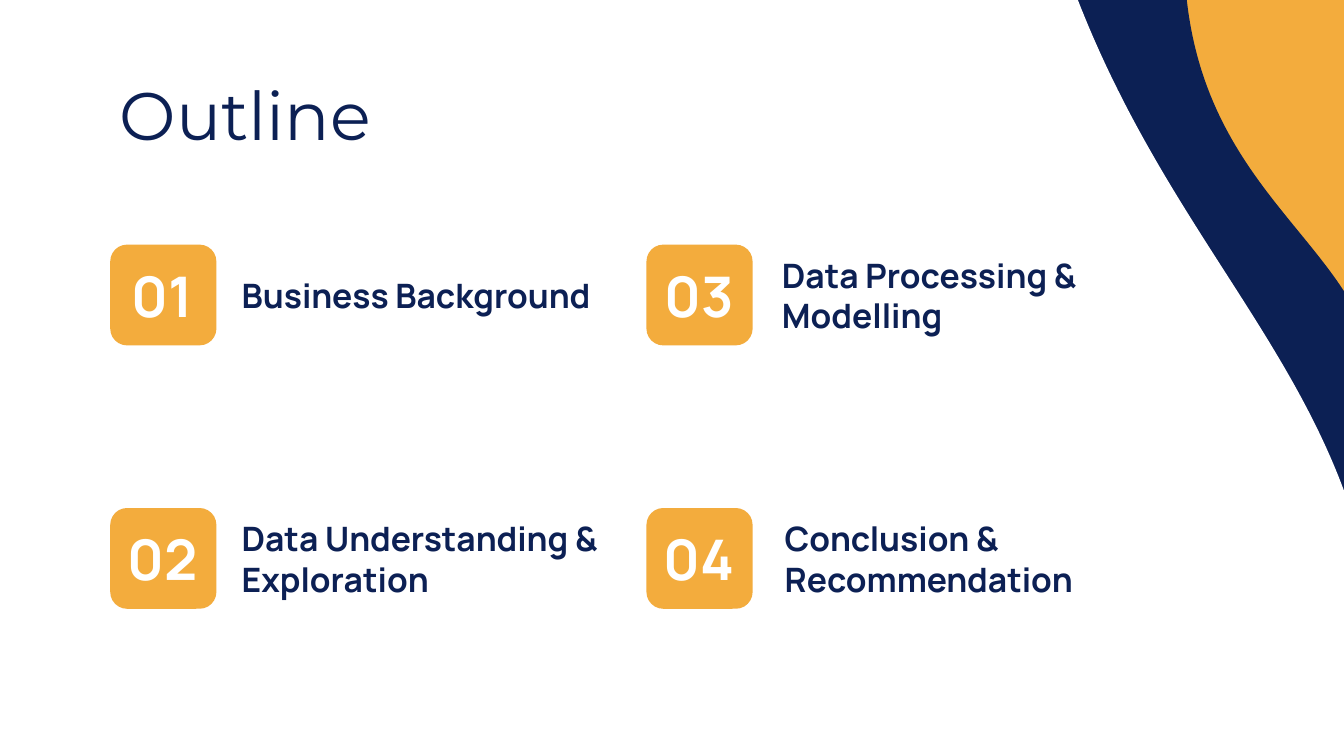
from dataclasses import dataclass
import pptx
import pptx.dml.color
import pptx.enum.shapes
import pptx.enum.text
import pptx.util

COLORS = {"navy": "0C2054", "amber": "F3AC3D", "white": "FFFFFF"}
SLIDE_W = 10
SLIDE_H = SLIDE_W * 9 / 16
GRID_LEFT, GRID_TOP = 0.82, 1.82
COL_STEP, ROW_STEP = 3.99, 1.96
BADGE_W, BADGE_H = 0.79, 0.75
TEXT_H = 0.58
SHAPES = pptx.enum.shapes.MSO_SHAPE
ALIGN = pptx.enum.text.PP_ALIGN
FRAME = {
    "word_wrap": True,
    "auto_size": pptx.enum.text.MSO_AUTO_SIZE.NONE,
    "vertical_anchor": pptx.enum.text.MSO_ANCHOR.MIDDLE,
    **{f"margin_{side}": pptx.util.Inches(0.1) for side in ("left", "top", "right", "bottom")},
}


@dataclass(frozen=True)
class Box:
    left: float
    top: float
    width: float
    height: float

    def emu(self) -> list[int]:
        return [pptx.util.Inches(v) for v in (self.left, self.top, self.width, self.height)]


@dataclass(frozen=True)
class Style:
    font: str
    size: int
    color: str
    bold: bool
    align: ALIGN


@dataclass(frozen=True)
class Topic:
    number: str
    label: str
    col: int
    row: int
    label_offset: float


@dataclass(frozen=True)
class Wave:
    box: Box
    rotation: float
    color: str


TITLE = Style("Montserrat", 36, "navy", False, ALIGN.LEFT)
LABEL = Style("Manrope", 18, "navy", True, ALIGN.LEFT)
NUMBER = Style("Manrope", 30, "white", True, ALIGN.CENTER)

WAVES = [
    Wave(Box(4.66, -1.37, 4.36, 6.93), 267, "navy"),
    Wave(Box(-0.56, -2.74, 10.13, 11.42), 264.8, "white"),
]
TOPICS = [
    Topic("01", "Business Background", 0, 0, 0.88),
    Topic("02", "Data Understanding & Exploration", 0, 1, 0.88),
    Topic("03", "Data Processing & Modelling", 1, 0, 0.91),
    Topic("04", "Conclusion & Recommendation", 1, 1, 0.93),
]


def rgb(name: str) -> pptx.dml.color.RGBColor:
    return pptx.dml.color.RGBColor.from_string(COLORS[name])


def add_filled(s, kind: SHAPES, box: Box, color: str):
    sp = s.shapes.add_shape(kind, *box.emu())
    sp.shadow.inherit = False
    sp.fill.solid()
    sp.fill.fore_color.rgb = rgb(color)
    sp.line.fill.background()
    return sp


def write_text(sp, text: str, style: Style) -> None:
    tf = sp.text_frame
    for name, value in FRAME.items():
        setattr(tf, name, value)
    p = tf.paragraphs[0]
    p.alignment = style.align
    p.line_spacing = 1.0
    r = p.add_run()
    r.text = text
    font = {"name": style.font, "size": pptx.util.Pt(style.size), "bold": style.bold}
    for name, value in font.items():
        setattr(r.font, name, value)
    r.font.color.rgb = rgb(style.color)


def add_text(s, box: Box, text: str, style: Style) -> None:
    write_text(s.shapes.add_textbox(*box.emu()), text, style)


def add_topic(s, topic: Topic) -> None:
    left = GRID_LEFT + topic.col * COL_STEP
    top = GRID_TOP + topic.row * ROW_STEP
    text_top = top + (BADGE_H - TEXT_H) / 2
    sp = add_filled(s, SHAPES.ROUNDED_RECTANGLE, Box(left, top, BADGE_W, BADGE_H), "amber")
    sp.adjustments[0] = 0.167
    add_text(s, Box(left - 0.02, text_top, 0.82, TEXT_H), topic.number, NUMBER)
    add_text(s, Box(left + topic.label_offset, text_top, 2.94, TEXT_H), topic.label, LABEL)


def add_title(s, box: Box, text: str) -> None:
    sp = s.shapes.title
    for name, value in zip(("left", "top", "width", "height"), box.emu()):
        setattr(sp, name, value)
    write_text(sp, text, TITLE)
    s.shapes._spTree.append(sp._element)


def main() -> None:
    prs = pptx.Presentation()
    prs.slide_width = pptx.util.Inches(SLIDE_W)
    prs.slide_height = pptx.util.Inches(SLIDE_H)
    s = prs.slides.add_slide(prs.slide_layouts[5])
    s.background.fill.solid()
    s.background.fill.fore_color.rgb = rgb("amber")
    for wave in WAVES:
        sp = add_filled(s, SHAPES.FLOWCHART_DOCUMENT, wave.box, wave.color)
        sp.rotation = wave.rotation
    add_title(s, Box(0.79, 0.58, 8.43, 0.53), "Outline")
    for topic in TOPICS:
        add_topic(s, topic)
    prs.save("out.pptx")


if __name__ == "__main__":
    main()
